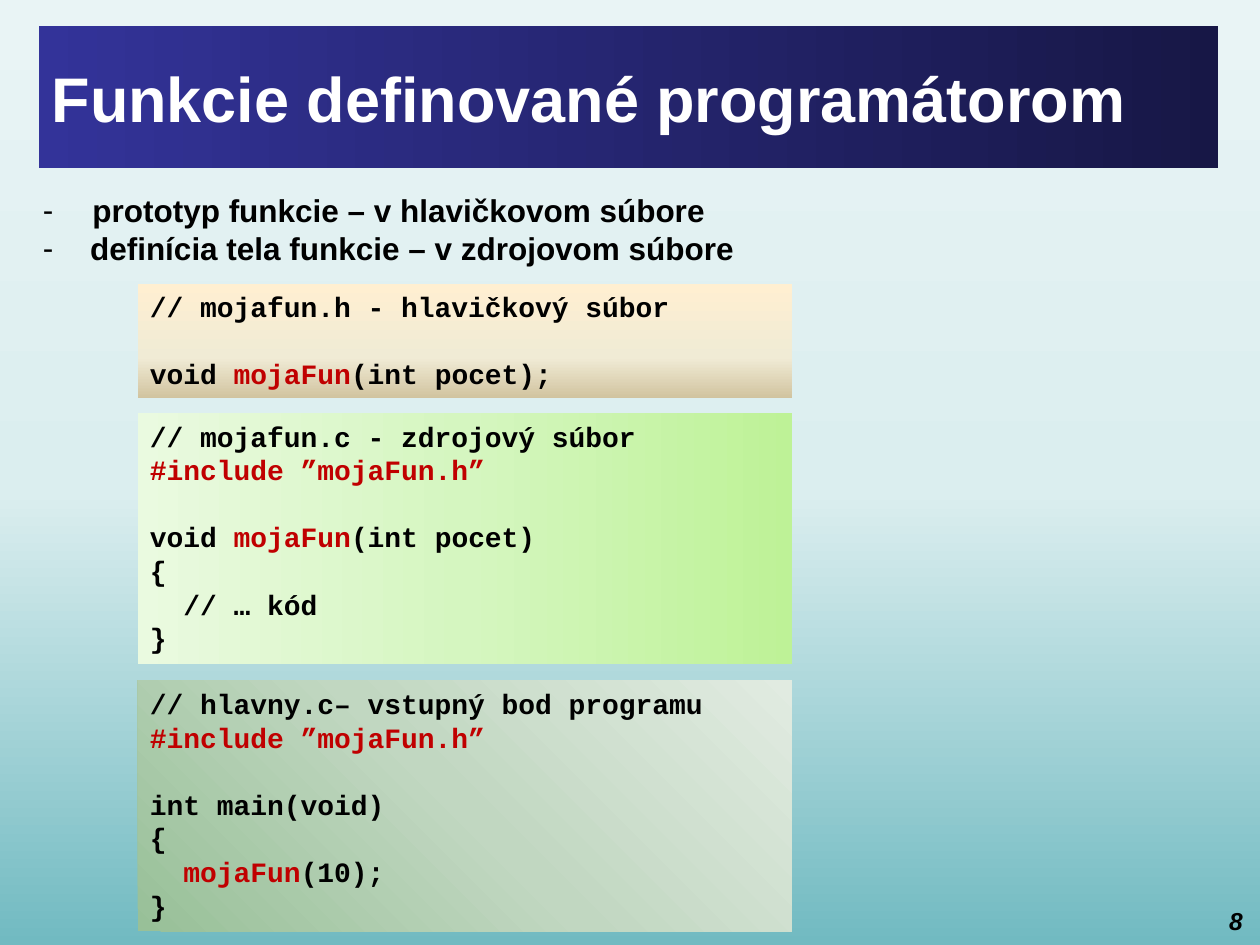
"""Builds the slide about programmer-defined functions in C."""
from lxml import etree
from pptx import Presentation
from pptx.dml import color
from pptx.enum import shapes, text
from pptx.oxml import ns
from pptx.util import Pt

COLORS = {"ink": "000000", "white": "FFFFFF", "accent": "C00000"}
GRADIENTS = {
    "background": (90, [(0, "71BAC1"), (48, "DBEEEF"), (100, "E9F4F5")]),
    "title": (0, [(0, "333399"), (100, "171746")]),
    "cream": (270, [(0, "FFEFD1"), (65, "F0EBD5"), (100, "D1C39F")]),
    "lime": (180, [(0, "BEF297"), (50, "D5F6C0"), (100, "EAFAE0")]),
    "sage": (45, [(0, "98C098"), (50, "C1D7C1"), (100, "E1EBE1")]),
}
FUNCTION_NAME = "mojaFun"
CODE_BLOCKS = [
    ("cream", 162, 65.5, """// mojafun.h - hlavičkový súbor

void mojaFun(int pocet);"""),
    ("lime", 236, 143.3, """// mojafun.c - zdrojový súbor
#include ”mojaFun.h”

void mojaFun(int pocet)
{
  // … kód
}"""),
    ("sage", 388.8, 143.3, """// hlavny.c– vstupný bod programu
#include ”mojaFun.h”

int main(void)
{
  mojaFun(10);
}"""),
]


class SlideBuilder:
    """Holds the slide and its text style."""

    text_font = "Arial"
    code_font = "Courier New"
    code_line = 19.2

    def __init__(self, slide):
        self.slide = slide

    def style(self, run, size, name="ink", font=None, italic=False):
        """Formats one run in bold."""
        run.font.name = font or self.text_font
        run.font.size = Pt(size)
        run.font.bold = True
        run.font.italic = italic
        run.font.color.rgb = color.RGBColor.from_string(COLORS[name])

    def paint(self, owner, fill, name):
        """Gives a fill the named gradient."""
        angle, stops = GRADIENTS[name]
        fill.gradient()
        fill.gradient_angle = angle
        stop_list = owner.element.find(".//" + ns.qn("a:gsLst"))
        for stop in list(stop_list):
            stop_list.remove(stop)
        for position, value in stops:
            stop = etree.SubElement(stop_list, ns.qn("a:gs"), pos=str(position * 1000))
            etree.SubElement(stop, ns.qn("a:srgbClr"), val=value)

    def place(self, shape, left, top, width, height, anchor=text.MSO_ANCHOR.TOP):
        """Positions a shape and returns its text frame."""
        shape.left, shape.top = Pt(left), Pt(top)
        shape.width, shape.height = Pt(width), Pt(height)
        frame = shape.text_frame
        frame.word_wrap = True
        frame.auto_size = text.MSO_AUTO_SIZE.NONE
        frame.vertical_anchor = anchor
        return frame

    def background(self):
        """Paints the slide background."""
        self.paint(self.slide, self.slide.background.fill, "background")

    def title(self, wording):
        """Fills the title placeholder."""
        shape = self.slide.shapes.title
        frame = self.place(shape, 22.3, 15, 674, 80.8, text.MSO_ANCHOR.MIDDLE)
        self.paint(shape, shape.fill, "title")
        frame.text = wording
        paragraph = frame.paragraphs[0]
        paragraph.alignment = text.PP_ALIGN.LEFT
        self.style(paragraph.runs[0], 36, "white")

    def bullets(self, items):
        """Fills the body placeholder with a dashed list of (wording, indent)."""
        frame = self.place(self.slide.placeholders[1], 17.3, 105.8, 675.4, 51.1)
        frame.text = "\n".join(wording for wording, _ in items)
        for paragraph, (_, indent) in zip(frame.paragraphs, items):
            paragraph.space_before = Pt(0)
            properties = paragraph._p.get_or_add_pPr()
            properties.set("marL", str(Pt(indent)))
            properties.set("indent", str(-Pt(indent)))
            etree.SubElement(properties, ns.qn("a:buFont"), typeface=self.text_font)
            etree.SubElement(properties, ns.qn("a:buChar"), char="-")
            self.style(paragraph.runs[0], 18)

    def code(self, gradient, top, height, source):
        """Adds a code box; a blank source line becomes space before the next."""
        shape = self.slide.shapes.add_shape(shapes.MSO_SHAPE.RECTANGLE, 0, 0, 0, 0)
        frame = self.place(shape, 78.6, top, 374, height)
        shape.shadow.inherit = False
        shape.line.fill.background()
        self.paint(shape, shape.fill, gradient)
        lines = source.split("\n")
        frame.text = "\n".join(line for line in lines if line)
        gaps = [not before for before, line in zip(["//"] + lines, lines) if line]
        for paragraph, gap in zip(frame.paragraphs, gaps):
            paragraph.alignment = text.PP_ALIGN.LEFT
            paragraph.space_before = Pt(self.code_line if gap else 0)
            self.highlight(paragraph)

    def highlight(self, paragraph):
        """Colours include lines and the function name."""
        line = paragraph.text
        if line.startswith("#"):
            pieces = [line]
        else:
            pieces = [piece for piece in line.partition(FUNCTION_NAME) if piece]
        paragraph.text = ""
        for piece in pieces:
            run = paragraph.add_run()
            run.text = piece
            accent = piece == FUNCTION_NAME or piece.startswith("#")
            self.style(run, 16, "accent" if accent else "ink", self.code_font)

    def page_number(self, number):
        """Adds the page number in the corner."""
        shape = self.slide.shapes.add_textbox(0, 0, 0, 0)
        frame = self.place(shape, 679, 514, 38.2, 22.3)
        frame.text = number
        paragraph = frame.paragraphs[0]
        paragraph.alignment = text.PP_ALIGN.RIGHT
        self.style(paragraph.runs[0], 14, italic=True)


def main():
    """Builds and saves the presentation."""
    presentation = Presentation()
    presentation.slide_width, presentation.slide_height = Pt(720), Pt(540)
    builder = SlideBuilder(presentation.slides.add_slide(presentation.slide_layouts[1]))
    builder.background()
    builder.title("Funkcie definované programátorom")
    builder.bullets([
        ("prototyp funkcie – v hlavičkovom súbore", 28.35),
        ("definícia tela funkcie – v zdrojovom súbore", 27),
    ])
    for block in CODE_BLOCKS:
        builder.code(*block)
    builder.page_number("8")
    presentation.save("out.pptx")


if __name__ == "__main__":
    main()
